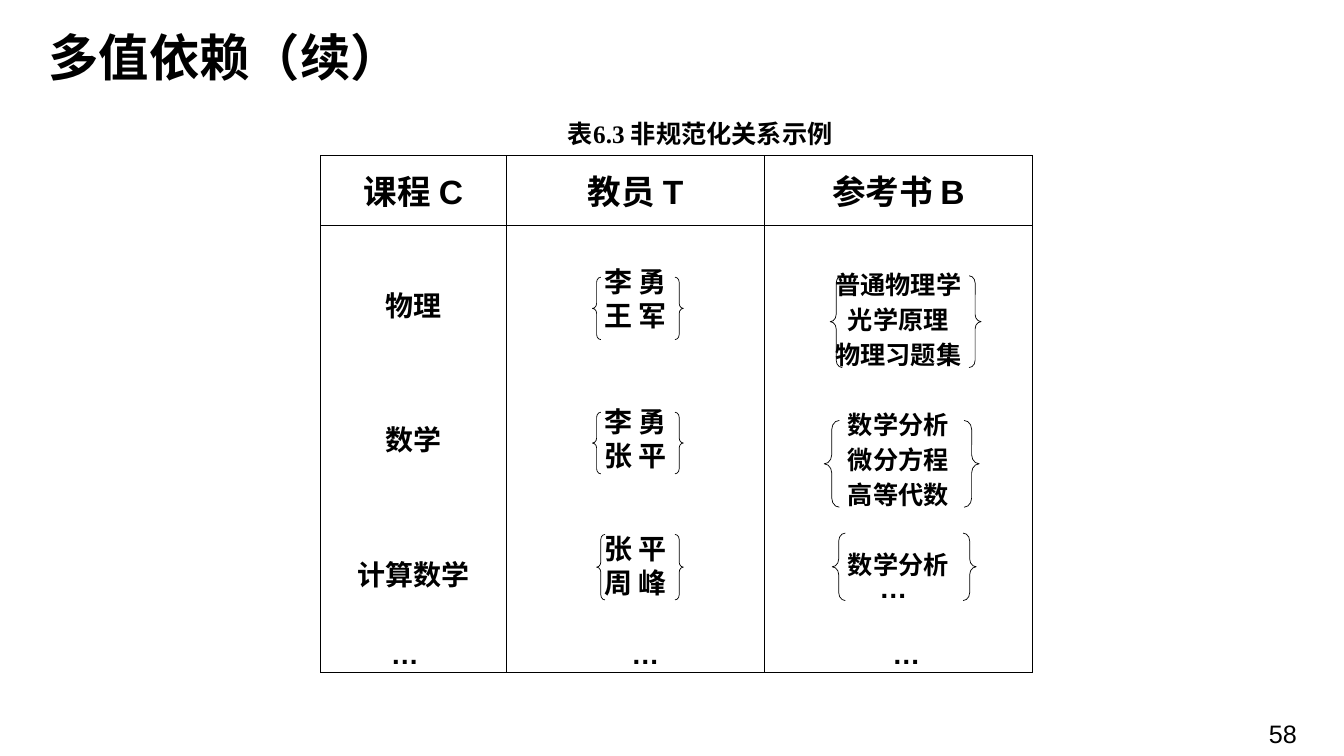
from lxml import etree
from pptx import Presentation
from pptx.dml.color import RGBColor
from pptx.enum import shapes, text
from pptx.oxml import ns
from pptx.util import Pt

BLACK = "000000"
CJK = "Noto Sans CJK SC"
COLUMN_WIDTHS = (133, 184.5, 191)
ROW_HEIGHTS = (49.7, 319.6)
HEADERS = (("课程 ", "C"), ("教员 ", "T"), ("参考书 ", "B"))
COURSES = (("物理",), ("数学",), ("计算数学",))
TEACHERS = (("李 勇", "王 军"), ("李 勇", "张 平"), ("张 平", "周 峰"))
BOOKS = (
    ("普通物理学", "光学原理", "物理习题集"),
    ("数学分析", "微分方程", "高等代数"),
    ("数学分析",),
)
# groups, font size, line height, top margin, space before each later group
BODY_COLUMNS = (
    (COURSES, 20, 24, 47, (72, 72)),
    (TEACHERS, 20, 24.3, 30, (50.8, 42.2)),
    (BOOKS, 18, 25, 30, (25, 25)),
)
# left brace x, right brace x, top, width, height
BRACES = (
    (194.4, 253.4, 87, 6, 44.6),
    (194.4, 253.4, 183.5, 6, 44),
    (197.4, 253.4, 270.7, 6, 46.8),
    (364.3, 463.6, 86, 8.6, 65.5),
    (360, 460, 189.3, 10.8, 62),
    (365.7, 459.3, 269.8, 9.4, 48.2),
)
ELLIPSES = ((43.2, 340.4), (215.2, 340.4), (401.7, 340.4), (392.4, 293))


def color(hex_string):
    """Turn a hex string into a colour."""
    return RGBColor.from_string(hex_string)


def format_run(run, size, name, bold=True):
    """Set the size, weight, colour and fonts of a run."""
    run.font.size = Pt(size)
    run.font.bold = bold
    run.font.color.rgb = color(BLACK)
    run.font.name = name
    east_asian = etree.SubElement(run.font._element, ns.qn("a:ea"))
    east_asian.set("typeface", CJK)


def add_label(slide, box, words, size, name, align, anchor=text.MSO_ANCHOR.TOP, bold=True):
    """Add one line of text in a box."""
    frame = slide.shapes.add_textbox(*map(Pt, box)).text_frame
    frame.word_wrap = True
    frame.vertical_anchor = anchor
    frame.text = words
    frame.paragraphs[0].alignment = align
    format_run(frame.paragraphs[0].runs[0], size, name, bold)


def add_title(slide, box, words):
    """Place and format the title placeholder."""
    title = slide.shapes.title
    title.left, title.top, title.width, title.height = map(Pt, box)
    frame = title.text_frame
    frame.text = words
    frame.auto_size = text.MSO_AUTO_SIZE.NONE
    frame.vertical_anchor = text.MSO_ANCHOR.MIDDLE
    frame.paragraphs[0].alignment = text.PP_ALIGN.LEFT
    format_run(frame.paragraphs[0].runs[0], 36, CJK)


def outline_cell(cell):
    """Give a cell thin black borders and no fill."""
    properties = cell._tc.get_or_add_tcPr()
    for side in ("lnL", "lnR", "lnT", "lnB"):
        line = etree.SubElement(properties, ns.qn(f"a:{side}"), w=str(Pt(0.5)))
        fill = etree.SubElement(line, ns.qn("a:solidFill"))
        etree.SubElement(fill, ns.qn("a:srgbClr"), val=BLACK)
    cell.fill.background()


def fill_header(cell, words):
    """Write a heading and its attribute letter."""
    cell.vertical_anchor = text.MSO_ANCHOR.MIDDLE
    paragraph = cell.text_frame.paragraphs[0]
    paragraph.alignment = text.PP_ALIGN.CENTER
    for part, name in zip(words, (CJK, "Arial")):
        run = paragraph.add_run()
        run.text = part
        format_run(run, 24, name)


def fill_body(cell, groups, size, line_height, margin, gaps):
    """Write the groups of a column, set apart by paragraph spacing."""
    cell.margin_top = Pt(margin)
    cell.margin_bottom = Pt(0)
    cell.text_frame.text = "\n".join(word for group in groups for word in group)
    paragraphs = iter(cell.text_frame.paragraphs)
    for group, gap in zip(groups, (0, *gaps)):
        for index, paragraph in zip(range(len(group)), paragraphs):
            paragraph.alignment = text.PP_ALIGN.CENTER
            paragraph.line_spacing = Pt(line_height)
            paragraph.space_before = Pt(0 if index else gap)
            format_run(paragraph.runs[0], size, "Times New Roman")


def add_brace(slide, kind, box):
    """Draw one thin brace."""
    brace = slide.shapes.add_shape(kind, *map(Pt, box))
    brace.shadow.inherit = False
    brace.adjustments[0] = 0.6
    brace.fill.background()
    brace.line.color.rgb = color(BLACK)
    brace.line.width = Pt(0.5)


def add_relation(slide, left, top):
    """Build the relation table with its braces and ellipses."""
    box = (left, top, sum(COLUMN_WIDTHS), sum(ROW_HEIGHTS))
    table = slide.shapes.add_table(2, 3, *map(Pt, box)).table
    table.first_row = table.horz_banding = False
    for row, height in zip(table.rows, ROW_HEIGHTS):
        row.height = Pt(height)
    for index, width in enumerate(COLUMN_WIDTHS):
        table.columns[index].width = Pt(width)
        fill_header(table.cell(0, index), HEADERS[index])
        fill_body(table.cell(1, index), *BODY_COLUMNS[index])
    for cell in table.iter_cells():
        outline_cell(cell)
    for left_x, right_x, y, width, height in BRACES:
        for kind, x in (
            (shapes.MSO_SHAPE.LEFT_BRACE, left_x),
            (shapes.MSO_SHAPE.RIGHT_BRACE, right_x),
        ):
            add_brace(slide, kind, (left + x, top + y, width, height))
    for x, y in ELLIPSES:
        add_label(slide, (left + x, top + y, 48, 32), "…", 20, "Arial", text.PP_ALIGN.LEFT)


def main():
    """Build and save the slide."""
    presentation = Presentation()
    presentation.slide_width = Pt(960.5)
    presentation.slide_height = Pt(540)
    slide = presentation.slides.add_slide(presentation.slide_layouts[5])
    add_title(slide, (27.4, 18, 801.4, 44), "多值依赖（续）")
    add_label(slide, (299.5, 68.4, 401.8, 54), "表6.3 非规范化关系示例", 18, "Times New Roman",
              text.PP_ALIGN.CENTER, text.MSO_ANCHOR.MIDDLE)
    add_relation(slide, 229, 111)
    add_label(slide, (843.8, 509.8, 90, 28.8), "58", 18, "Arial", text.PP_ALIGN.RIGHT, bold=False)
    presentation.save("out.pptx")


if __name__ == "__main__":
    main()
